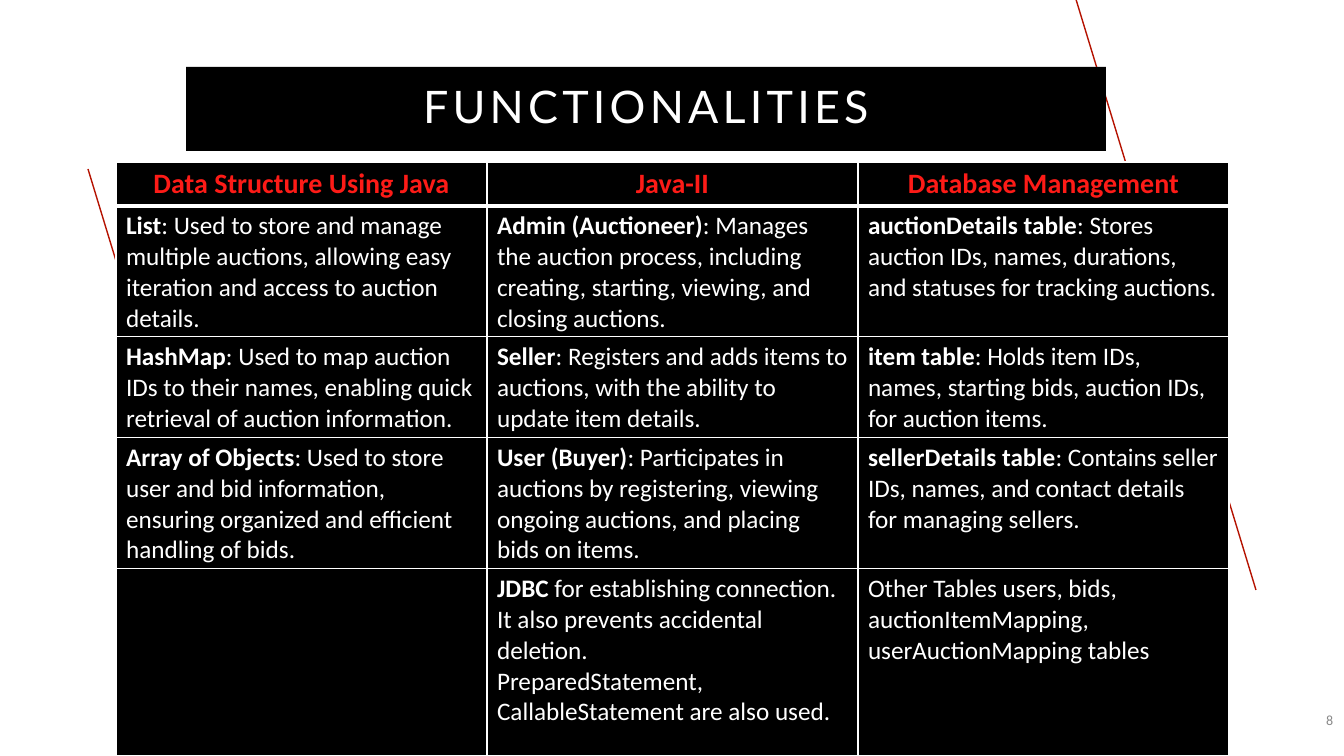
from lxml.etree import SubElement as Sub
from pptx import Presentation
from pptx.dml.color import RGBColor
from pptx.enum.shapes import MSO_CONNECTOR as Conn, MSO_SHAPE as Shape
from pptx.enum.text import MSO_ANCHOR as Anchor, PP_ALIGN as Align
from pptx.oxml import parse_xml
from pptx.oxml.ns import nsdecls, qn
from pptx.util import Pt

TITLE = "FUNCTIONALITIES"
PAGE = "8"
HEADS = ["Data Structure Using Java", "Java-II", "Database Management"]
# Each cell is a list of paragraphs: (bold lead, rest)
ROWS = [
    [[("List", ": Used to store and manage multiple auctions, allowing easy "
       "iteration and access to auction details.")],
     [("Admin (Auctioneer)", ": Manages the auction process, including "
       "creating, starting, viewing, and closing auctions.")],
     [("auctionDetails table", ": Stores auction IDs, names, durations, "
       "and statuses for tracking auctions.")]],
    [[("HashMap", ": Used to map auction IDs to their names, enabling quick "
       "retrieval of auction information.")],
     [("Seller", ": Registers and adds items to auctions, with the ability "
       "to update item details.")],
     [("item table", ": Holds item IDs, names, starting bids, auction IDs, "
       "for auction items.")]],
    [[("Array of Objects", ": Used to store user and bid information, "
       "ensuring organized and efficient handling of bids.")],
     [("User (Buyer)", ": Participates in auctions by registering, viewing "
       "ongoing auctions, and placing bids on items.")],
     [("sellerDetails table", ": Contains seller IDs, names, and contact "
       "details for managing sellers.")]],
    [[],
     [("JDBC", " for establishing connection."),
      ("", "It also prevents accidental deletion."),
      ("", "PreparedStatement, CallableStatement are also used.")],
     [("", "Other Tables users, bids, auctionItemMapping, "
       "userAuctionMapping tables")]],
]
LINES = [(268, 759, 88, 169), (1075, -4, 1256, 590)]
BANNER = (186, 67, 920, 84)
NUMBER = (1174, 700, 169, 40)
LEFT, TOP, COL = 116, 162, 371
HIGH = [41, 128, 98, 128, 187]
BLACK, WHITE, RED, RUST, GRAY = "000000", "FFFFFF", "FD1B17", "B51200", "898989"


def px(n):
    return round(n * 12192000 / 1344)


def box(*nums):
    return [px(n) for n in nums]


def color(code):
    return RGBColor.from_string(code)


def paint(item, code):
    item.fill.solid()
    item.fill.fore_color.rgb = color(code)


def write(frame, paras, size=18, font="Calibri", ink=WHITE, align=None,
          space=None, track=None):
    frame.word_wrap = True
    for i, pair in enumerate(paras):
        para = frame.add_paragraph() if i else frame.paragraphs[0]
        para.alignment, para.line_spacing = align, space
        for text, bold in zip(pair, (True, False)):
            if text:
                run = para.add_run()
                run.text = text
                run.font.size, run.font.name = Pt(size), font
                run.font.bold = bold
                run.font.color.rgb = color(ink)
                if track:
                    run.font._element.set("spc", str(track * 100))


def edge(cell, top, base):
    props = cell._tc.get_or_add_tcPr()
    for tag, wide in (("L", 1), ("R", 1), ("T", top), ("B", base)):
        line = Sub(props, qn("a:ln" + tag), w=str(Pt(wide)))
        fill = Sub(line, qn("a:solidFill"))
        Sub(fill, qn("a:srgbClr"), val=WHITE)


prs = Presentation()
prs.slide_width, prs.slide_height = box(1344, 756)
slide = prs.slides.add_slide(prs.slide_layouts[6])
shapes = slide.shapes

# Slanted lines
for ends in LINES:
    line = shapes.add_connector(Conn.STRAIGHT, *box(*ends))
    line.line.color.rgb = color(RUST)
    line.line.width = Pt(1)
    line._element.spPr.append(parse_xml(f"<a:effectLst {nsdecls('a')}/>"))

# Title banner
banner = shapes.add_shape(Shape.RECTANGLE, *box(*BANNER))
banner.shadow.inherit = False
paint(banner, BLACK)
banner.line.fill.background()
banner.text_frame.vertical_anchor = Anchor.MIDDLE
write(banner.text_frame, [("", TITLE)], size=32, font="Lato",
      align=Align.CENTER, space=0.9, track=3)

# Page number
number = shapes.add_textbox(*box(*NUMBER)).text_frame
number.vertical_anchor = Anchor.MIDDLE
write(number, [("", PAGE)], size=10, ink=GRAY, align=Align.RIGHT)

# Table
cols = len(HEADS)
table = shapes.add_table(len(HIGH), cols, *box(LEFT, TOP, COL * cols, sum(HIGH))).table
for col in table.columns:
    col.width = px(COL)
for row, high in zip(table.rows, HIGH):
    row.height = px(high)
grid = [[[(head, "")] for head in HEADS]] + ROWS
for r, row in enumerate(grid):
    for c, paras in enumerate(row):
        cell = table.cell(r, c)
        edge(cell, 3 if r == 1 else 1, 3 if r == 0 else 1)
        paint(cell, BLACK)
        look = {} if r else dict(size=20, ink=RED, align=Align.CENTER)
        write(cell.text_frame, paras, **look)

prs.save("out.pptx")
